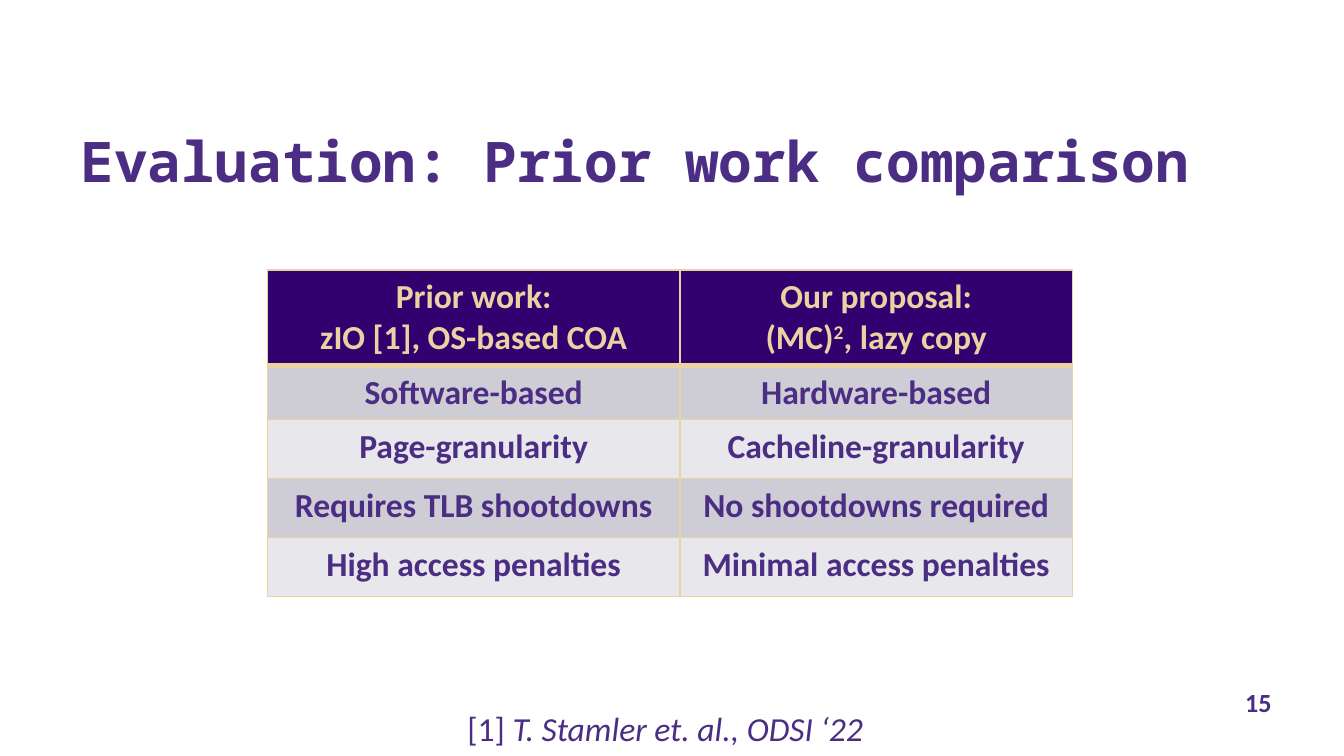
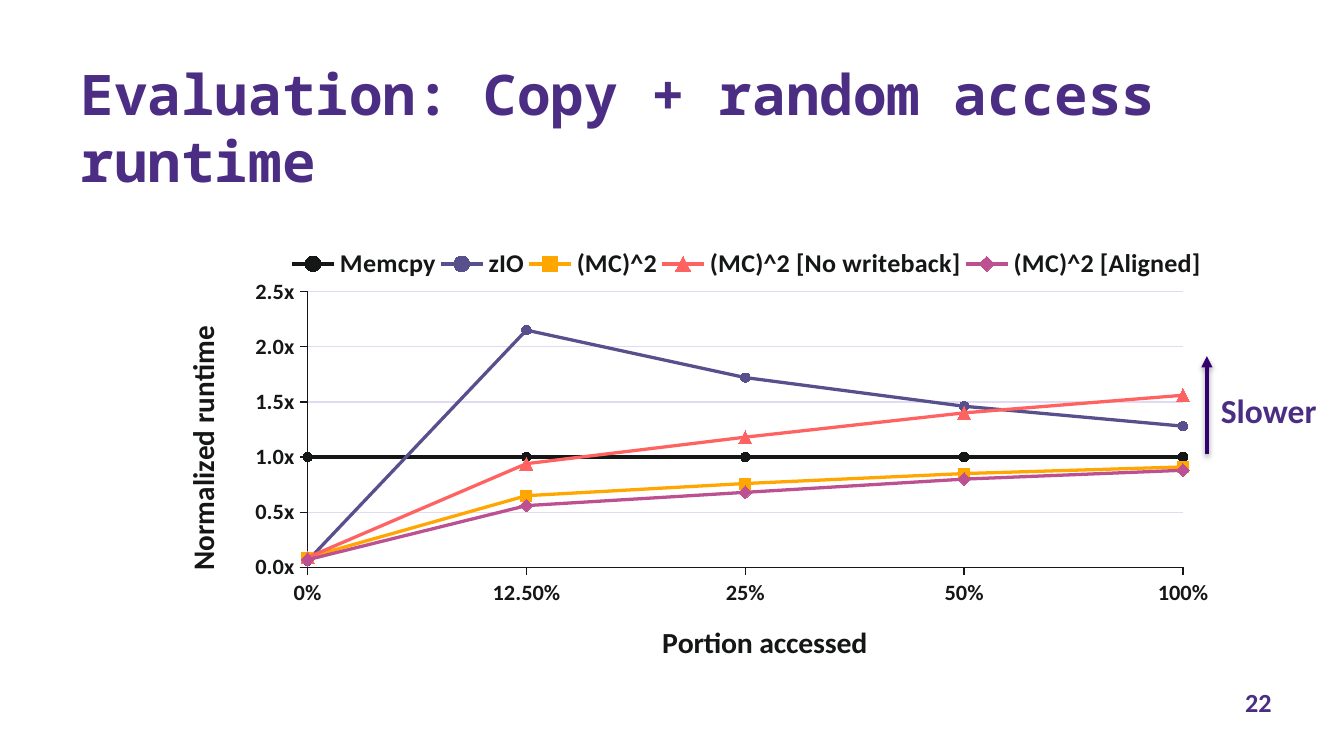
from lxml import etree
from pptx import Presentation
from pptx.chart.data import CategoryChartData
from pptx.dml.color import RGBColor
from pptx.enum.chart import XL_CHART_TYPE, XL_LEGEND_POSITION, XL_MARKER_STYLE, XL_TICK_MARK
from pptx.enum.shapes import MSO_CONNECTOR
from pptx.enum.text import MSO_ANCHOR, MSO_AUTO_SIZE, PP_ALIGN
from pptx.oxml.ns import qn
from pptx.util import Inches, Pt

LEFT, CENTER, RIGHT = PP_ALIGN.LEFT, PP_ALIGN.CENTER, PP_ALIGN.RIGHT
OUTSIDE, NO_TICK = XL_TICK_MARK.OUTSIDE, XL_TICK_MARK.NONE
CIRCLE, SQUARE = XL_MARKER_STYLE.CIRCLE, XL_MARKER_STYLE.SQUARE
TRIANGLE, DIAMOND = XL_MARKER_STYLE.TRIANGLE, XL_MARKER_STYLE.DIAMOND

PURPLE, DEEP_PURPLE, GOLD = "4B2E83", "33006F", "E8D3A2"
INK, GRID = "151616", "E2DAF2"
BANDS = ("CECCD5", "E8E7EB")
BODY_FONT, TITLE_FONT = "Calibri", "Noto Sans Mono"
PAGE_SIZE = (10, 10 * 9 / 16)
TITLE_BOX = (0.5, 0.4, 8.95, 1.09)
NUMBER_BOX = (7.73, 5.06, 1.83, 0.34)

HEADERS = (
    ([("Prior work:", {})], [("zIO [1], OS-based COA", {})]),
    ([("Our proposal:", {})], [("(MC)", {}), ("2", {"raised": True}), (", lazy copy", {})]),
)
COMPARISON = (
    ("Software-based", "Hardware-based"),
    ("Page-granularity", "Cacheline-granularity"),
    ("Requires TLB shootdowns", "No shootdowns required"),
    ("High access penalties", "Minimal access penalties"),
)
PORTIONS = ("0%", "12.50%", "25%", "50%", "100%")
RUNTIMES = (
    ("Memcpy", (1, 1, 1, 1, 1), INK, CIRCLE, 5),
    ("zIO", (0.06, 2.15, 1.72, 1.46, 1.28), "58508D", CIRCLE, 5),
    ("(MC)^2", (0.09, 0.65, 0.76, 0.85, 0.91), "FFA600", SQUARE, 6),
    ("(MC)^2 [No writeback]", (0.09, 0.94, 1.18, 1.4, 1.56), "FF6361", TRIANGLE, 7),
    ("(MC)^2 [Aligned]", (0.07, 0.56, 0.68, 0.8, 0.88), "BC5090", DIAMOND, 7),
)


def colour(value):
    """Turn a hex string into a colour."""
    return RGBColor.from_string(value)


def inches(box):
    """Turn numbers into lengths."""
    return [Inches(length) for length in box]


def add_xml(parent, tag, **attributes):
    """Append an XML element with the given attributes."""
    return etree.SubElement(parent, qn(tag), {key: str(value) for key, value in attributes.items()})


def style_font(font, size, ink=PURPLE, bold=True, name=BODY_FONT):
    """Set the look of a font."""
    font.name, font.size, font.bold = name, Pt(size), bold
    font.color.rgb = colour(ink)


def style_line(line, ink, width):
    """Set the colour and width of a line."""
    line.color.rgb, line.width = colour(ink), Pt(width)


def write(para, text, size, align=LEFT, italic=False, raised=False, **look):
    """Add one formatted run to a paragraph."""
    para.alignment = align
    span = para.add_run()
    span.text = text
    style_font(span.font, size, **look)
    if italic:
        span.font.italic = True
    if raised:
        span.font._element.set("baseline", "30000")


def add_label(page, box, spans, size, align=LEFT, wrap=False, **look):
    """Add a text box holding one paragraph."""
    frame = page.shapes.add_textbox(*inches(box)).text_frame
    frame.word_wrap = wrap
    frame.auto_size = MSO_AUTO_SIZE.SHAPE_TO_FIT_TEXT
    for text, extra in spans:
        write(frame.paragraphs[0], text, size, align, **look, **extra)


def add_page(deck, heading, number):
    """Add a slide with its title and slide number."""
    page = deck.slides.add_slide(deck.slide_layouts[5])
    title = page.shapes.title
    title.left, title.top, title.width, title.height = inches(TITLE_BOX)
    frame = title.text_frame
    frame.word_wrap, frame.auto_size = True, MSO_AUTO_SIZE.NONE
    frame.vertical_anchor = MSO_ANCHOR.BOTTOM
    write(frame.paragraphs[0], heading, 30, name=TITLE_FONT)
    add_label(page, NUMBER_BOX, [(number, {})], 14, RIGHT, wrap=True)
    return page


def fill_cell(cell, paragraphs, ink, fill, top=1, bottom=1):
    """Write a table cell and set its borders and fill."""
    for index, spans in enumerate(paragraphs):
        frame = cell.text_frame
        para = frame.add_paragraph() if index else frame.paragraphs[0]
        for text, extra in spans:
            write(para, text, 18, CENTER, ink=ink, **extra)
    properties = cell._tc.get_or_add_tcPr()
    for side, width in (("L", 1), ("R", 1), ("T", top), ("B", bottom)):
        border = add_xml(properties, f"a:ln{side}", w=Pt(width))
        add_xml(add_xml(border, "a:solidFill"), "a:srgbClr", val=GOLD)
    cell.fill.solid()
    cell.fill.fore_color.rgb = colour(fill)


def add_comparison(page, box):
    """Add the table that sets prior work against the proposal."""
    table = page.shapes.add_table(len(COMPARISON) + 1, 2, *inches(box)).table
    for column, width in zip(table.columns, (3.07, 2.92)):
        column.width = Inches(width)
    for row, height in zip(table.rows, (0.71, 0.4, 0.44, 0.44, 0.44)):
        row.height = Inches(height)
    for column, paragraphs in enumerate(HEADERS):
        fill_cell(table.cell(0, column), paragraphs, GOLD, DEEP_PURPLE, bottom=3)
    for row, texts in enumerate(COMPARISON):
        for column, text in enumerate(texts):
            fill_cell(table.cell(row + 1, column), [[(text, {})]], PURPLE,
                      BANDS[row % 2], top=1 if row else 3)


def place_in_chart(element, index, size, place, inner=False):
    """Place a chart part, given in inches, within a chart of the given size."""
    layout = element.find(qn("c:layout"))
    if layout is None:
        layout = etree.Element(qn("c:layout"))
        element.insert(index, layout)
    manual = add_xml(layout, "c:manualLayout")
    if inner:
        add_xml(manual, "c:layoutTarget", val="inner")
    for mode in ("c:xMode", "c:yMode"):
        add_xml(manual, mode, val="edge")
    for key, length, whole in zip("xywh", place, size * 2):
        add_xml(manual, f"c:{key}", val=round(length / whole, 4))


def style_axis(axis, heading, size, place, turn):
    """Format an axis and place its title."""
    style_font(axis.tick_labels.font, 12, INK)
    style_line(axis.format.line, INK, 0.75)
    axis.major_tick_mark, axis.minor_tick_mark = OUTSIDE, NO_TICK
    title = axis.axis_title
    write(title.text_frame.paragraphs[0], heading, 16, CENTER, ink=INK)
    body = title._element.find(".//" + qn("a:bodyPr"))
    body.set("rot", str(turn * 60000))
    body.set("vert", "horz")
    place_in_chart(title._element, 1, size, place)


def start_on_axis(scale):
    """Let the first category sit on the value axis."""
    crossing = scale._element.find(qn("c:crossBetween"))
    if crossing is None:
        crossing = etree.Element(qn("c:crossBetween"))
        scale._element.find(qn("c:crosses")).addnext(crossing)
    crossing.set("val", "midCat")


def add_runtime_chart(page, box):
    """Add the line chart of normalized runtimes."""
    data = CategoryChartData()
    data.categories = PORTIONS
    for name, values, *_ in RUNTIMES:
        data.add_series(name, values)
    chart = page.shapes.add_chart(XL_CHART_TYPE.LINE_MARKERS, *inches(box), data).chart
    size = box[2:]
    chart.has_title = False
    style_font(chart.font, 10, bold=False)
    chart.has_legend = True
    legend = chart.legend
    legend.position = XL_LEGEND_POSITION.TOP
    legend.include_in_layout = False
    style_font(legend.font, 14, INK)
    place_in_chart(legend._element, 1, size, (1.12, 0.12, 6.84, 0.28))
    plot = chart.plots[0]
    plot.vary_by_categories = False
    for series, (_, _, ink, marker, width) in zip(plot.series, RUNTIMES):
        series.smooth = False
        style_line(series.format.line, ink, 1.75)
        series.marker.style, series.marker.size = marker, width
        series.marker.format.fill.solid()
        series.marker.format.fill.fore_color.rgb = colour(ink)
        series.marker.format.line.color.rgb = colour(ink)
    style_axis(chart.category_axis, "Portion accessed", size, (3.87, 2.95), 0)
    scale = chart.value_axis
    style_axis(scale, "Normalized runtime", size, (0.3, 0.73), -90)
    scale.minimum_scale, scale.maximum_scale, scale.major_unit = 0, 2.5, 0.5
    scale.tick_labels.number_format = "0.0\\x"
    scale.tick_labels.number_format_is_linked = False
    scale.has_major_gridlines = True
    style_line(scale.major_gridlines.format.line, GRID, 0.75)
    start_on_axis(scale)
    area = chart._chartSpace.find(".//" + qn("c:plotArea"))
    place_in_chart(area, 0, size, (1.27, 0.47, 6.52, 2.1), inner=True)


def add_slower_arrow(page, box):
    """Add the upward arrow on the box's left edge and its label."""
    left, top, width, height = box
    add_label(page, (left, top + 0.2, width, 0.4), [("Slower", {})], 18, CENTER)
    arrow = page.shapes.add_connector(
        MSO_CONNECTOR.STRAIGHT, *inches((left, top + height, left, top)))
    style_line(arrow.line, DEEP_PURPLE, 2)
    add_xml(arrow.line._get_or_add_ln(), "a:tailEnd", type="triangle")
    effects = add_xml(arrow._element.spPr, "a:effectLst")
    shadow = add_xml(effects, "a:outerShdw", blurRad=Pt(3.1), dist=Pt(1.6),
                     dir=90 * 60000, rotWithShape=0)
    add_xml(add_xml(shadow, "a:srgbClr", val="000000"), "a:alpha", val=38000)


def main():
    """Build and save the deck."""
    deck = Presentation()
    deck.slide_width, deck.slide_height = inches(PAGE_SIZE)
    page = add_page(deck, "Evaluation: Prior work comparison", "15")
    add_comparison(page, (1.99, 2.01, 5.99, 2.43))
    citation = [("[1] ", {}), ("T. Stamler et. al., ODSI ‘22", {"italic": True})]
    add_label(page, (3.38, 5.22, 3.24, 0.4), citation, 18, bold=False)
    page = add_page(deck, "Evaluation: Copy + random access runtime", "22")
    add_runtime_chart(page, (1.02, 1.71, 7.97, 3.28))
    add_slower_arrow(page, (8.98, 2.65, 0.92, 0.73))
    deck.save("out.pptx")


if __name__ == "__main__":
    main()
